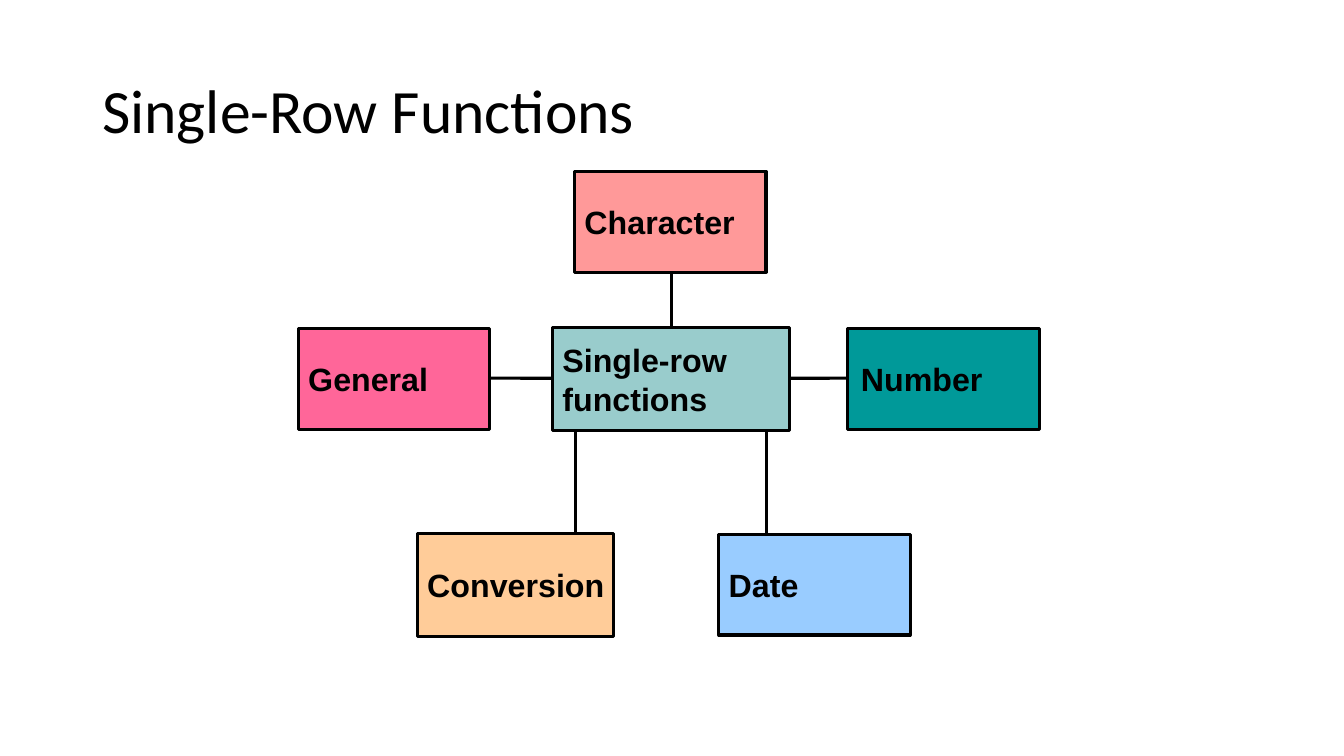
from lxml import etree
from pptx import Presentation
from pptx.dml.color import RGBColor
from pptx.enum import shapes, text
from pptx.oxml import ns
from pptx.util import Pt

BLACK = RGBColor(0x00, 0x00, 0x00)
ORANGE = RGBColor(0xFF, 0xCC, 0x99)
SALMON = RGBColor(0xFF, 0x99, 0x99)
TEAL = RGBColor(0x00, 0x99, 0x99)
BLUE = RGBColor(0x99, 0xCC, 0xFF)
PINK = RGBColor(0xFF, 0x66, 0x99)
AQUA = RGBColor(0x99, 0xCC, 0xCC)

OUTLINE = 2.25
BOX_SIZE = (136.8, 72)
HUB_X, HUB_Y = 479.5, 270.4


def write(frame, wording, size, font, bold=False, wrap=True,
          inset=(7.2, 3.6), spacing=None):
    frame.word_wrap = wrap
    frame.vertical_anchor = text.MSO_ANCHOR.MIDDLE
    frame.margin_left = frame.margin_right = Pt(inset[0])
    frame.margin_top = frame.margin_bottom = Pt(inset[1])
    frame.text = wording
    for paragraph in frame.paragraphs:
        paragraph.alignment = text.PP_ALIGN.LEFT
        paragraph.line_spacing = spacing
        for run in paragraph.runs:
            run.font.size = Pt(size)
            run.font.name = font
            run.font.bold = bold
            run.font.color.rgb = BLACK


def add_title(slide, wording):
    title = slide.shapes.add_textbox(Pt(66), Pt(28.8), Pt(828), Pt(104.4))
    write(title.text_frame, wording, 44, "Calibri", spacing=0.9)


def add_link(slide, *ends):
    link = slide.shapes.add_connector(
        shapes.MSO_CONNECTOR.STRAIGHT, *map(Pt, ends))
    link.line.color.rgb = BLACK
    link.line.width = Pt(OUTLINE)
    etree.SubElement(link._element.spPr, ns.qn("a:effectLst"))


def add_box(slide, wording, left, top, fill, size=BOX_SIZE, inset=(7.2, 3.6)):
    box = slide.shapes.add_shape(
        shapes.MSO_SHAPE.RECTANGLE, Pt(left), Pt(top), *map(Pt, size))
    box.shadow.inherit = False
    box.fill.solid()
    box.fill.fore_color.rgb = fill
    box.line.color.rgb = BLACK
    box.line.width = Pt(OUTLINE)
    write(box.text_frame, wording, 23, "Arial", bold=True, wrap=False,
          inset=inset)


def main():
    deck = Presentation()
    deck.slide_width, deck.slide_height = Pt(960), Pt(540)
    slide = deck.slides.add_slide(deck.slide_layouts[6])

    add_title(slide, "Single-Row Functions")

    for branch_x in (411, 547.2):
        add_link(slide, branch_x, 300, branch_x, 382.6)
    for end_x, end_y in ((HUB_X, 178), (319, 270), (648, 270)):
        add_link(slide, HUB_X, HUB_Y, end_x, end_y)

    add_box(slide, "Conversion", 298.1, 381, ORANGE, size=(140.4, 73.4))
    add_box(slide, "Character", 410.4, 122.4, SALMON)
    add_box(slide, "Number", 605.5, 234.7, TEAL, inset=(9.4, 5))
    add_box(slide, "Date", 513.4, 381.6, BLUE)
    add_box(slide, "General", 213.1, 234.7, PINK)
    add_box(slide, "Single-row\nfunctions", 394.6, 234, AQUA,
            size=(169.2, 73.4))

    deck.save("out.pptx")


main()
